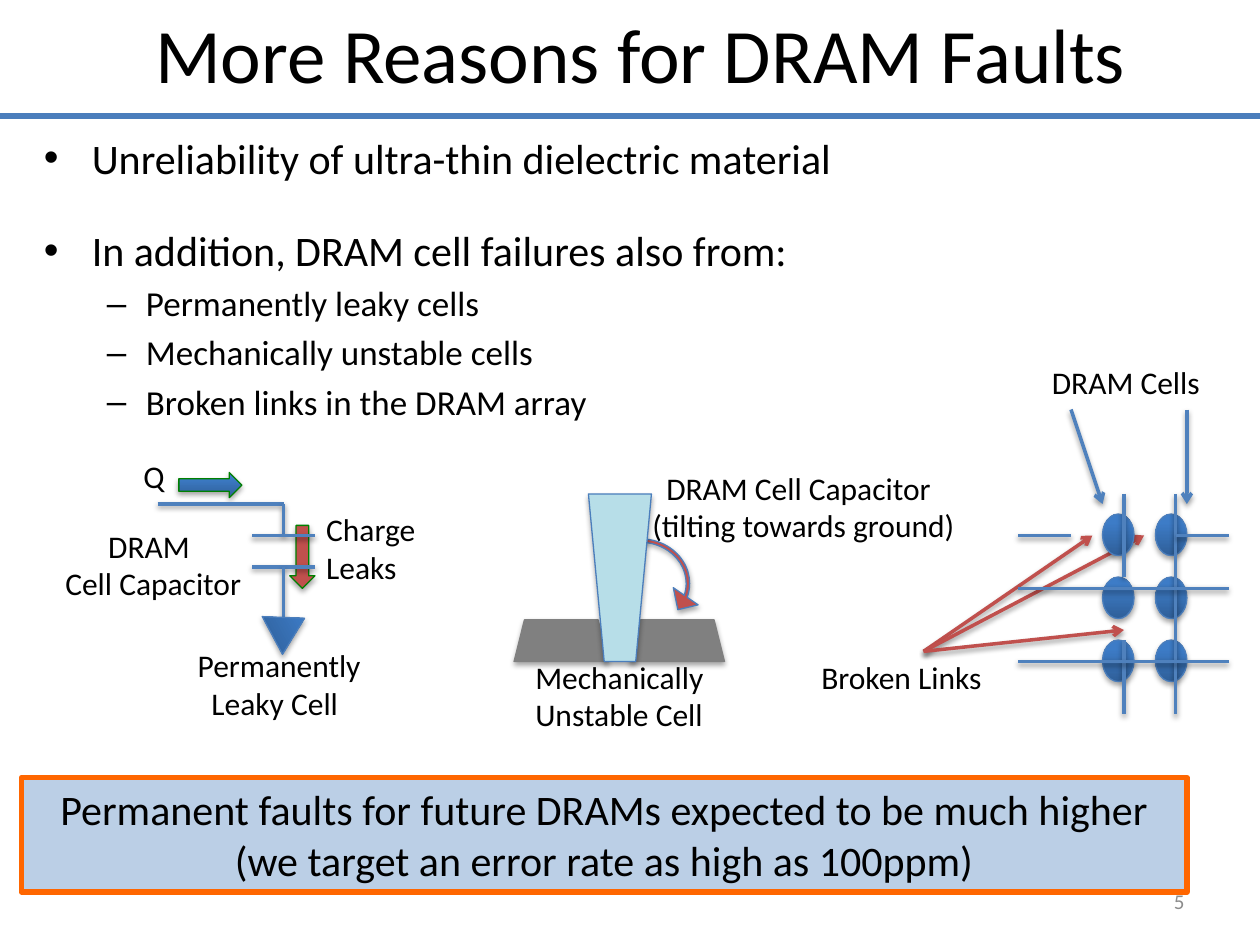
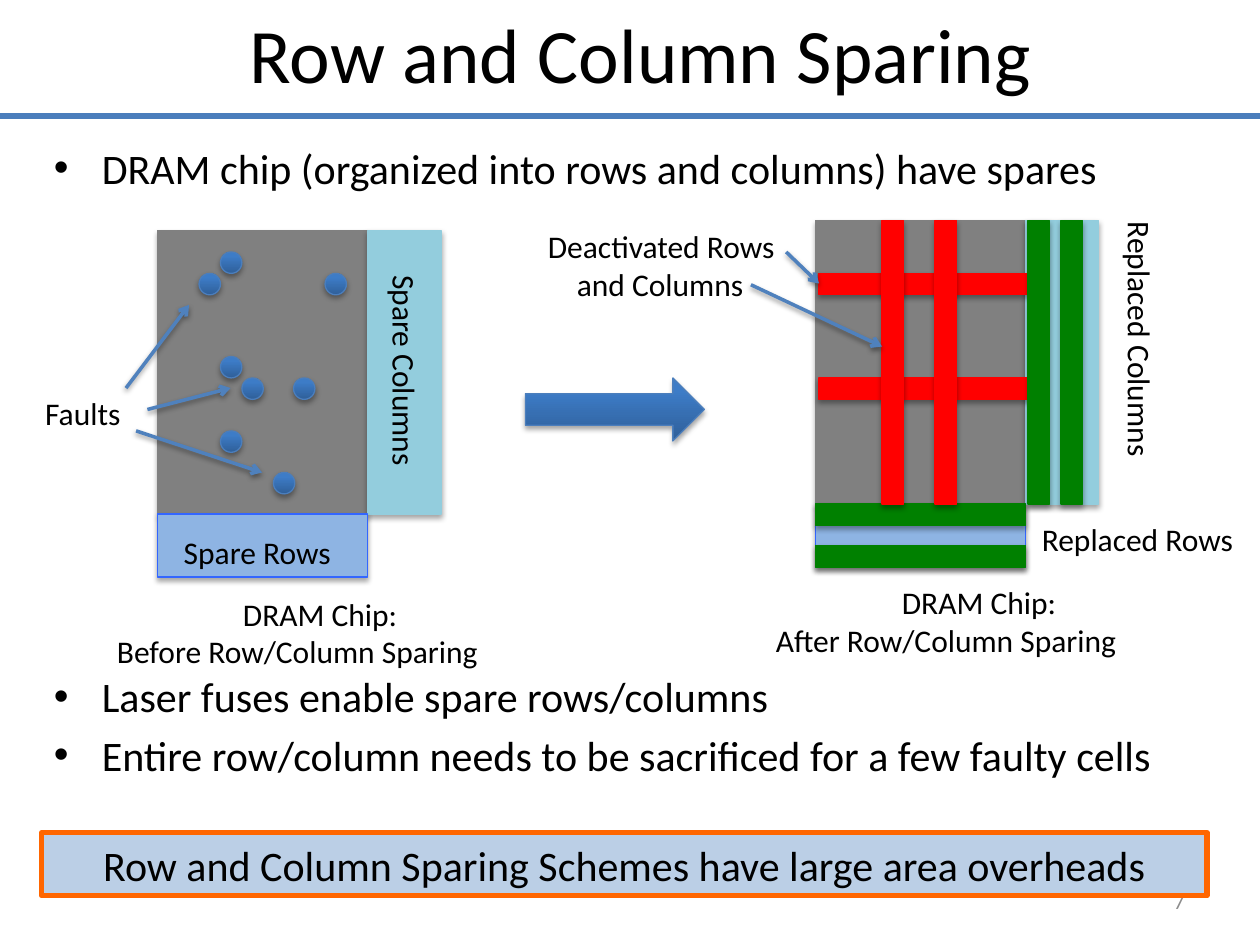
from dataclasses import dataclass

from lxml import etree
from pptx import Presentation
from pptx.dml.color import RGBColor
from pptx.enum import shapes, text
from pptx.oxml.ns import qn
from pptx.util import Cm, Pt

KIND = shapes.MSO_SHAPE
ALIGN = text.PP_ALIGN
ANCHOR = text.MSO_ANCHOR


@dataclass(frozen=True)
class Theme:
    font: str = "Calibri"
    ink: str = "000000"
    pale: str = "8C8C8C"
    edge: str = "4B7EBC"
    wire: str = "4F81BD"
    deep: str = "2F5F99"
    blue: str = "3D7CC7"
    brick: str = "C0504D"
    red: str = "FF0000"
    green: str = "008000"
    gray: str = "808080"
    ice: str = "B7DEE8"
    aqua: str = "93CDDD"
    sky: str = "8EB4E3"
    royal: str = "3366FF"
    band: str = "BBCFE6"
    orange: str = "FF6600"
    title: int = 44
    body: int = 24
    sub: int = 20
    label: int = 18
    page: int = 12


T = Theme()


# Basics: the layout grid is 10 x 7.5 units of 2.54 cm
def grid(*units):
    return [Cm(2.54 * n) for n in units]


def tint(code):
    return RGBColor.from_string(code)


def node(parent, tag, **attrs):
    return etree.SubElement(parent, qn(tag), {k: str(v) for k, v in attrs.items()})


def shade(item, alpha=0, drop=0):
    """Replace the themed shadow by a soft one below, or by none."""
    effects = node(item._element.spPr, "a:effectLst")
    if alpha:
        cast = node(effects, "a:outerShdw", blurRad=Pt(3.1), dist=Pt(drop),
                    dir=90 * 60000, rotWithShape=0)
        color = node(cast, "a:srgbClr", val="000000")
        node(color, "a:alpha", val=alpha * 1000)


# Text
def write(para, words, size, color=T.ink, align=ALIGN.LEFT):
    para.alignment = align
    run = para.add_run()
    run.text = words
    run.font.name = T.font
    run.font.size = Pt(size)
    run.font.color.rgb = tint(color)


def lines(frame):
    """Yield the first paragraph, then a new one each time."""
    yield frame.paragraphs[0]
    while True:
        yield frame.add_paragraph()


def frame(slide, box, wrap=True):
    area = slide.shapes.add_textbox(*grid(*box))
    area.text_frame.word_wrap = wrap
    return area


def label(slide, box, rows, indents=(), turn=0):
    area = frame(slide, box, wrap=False)
    area.rotation = turn
    paras = lines(area.text_frame)
    for i, row in enumerate(rows):
        para = next(paras)
        write(para, row, T.label)
        if i < len(indents) and indents[i]:
            para._p.get_or_add_pPr().set("marL", str(grid(indents[i])[0]))


def bullets(slide, box, items):
    """Each item is level, space before in points, words."""
    paras = lines(frame(slide, box).text_frame)
    for level, space, words in items:
        para = next(paras)
        para.level = level
        para.space_before = Pt(space)
        write(para, words, T.sub if level else T.body)
        left, hang = grid(0.81, 0.31) if level else grid(0.38, 0.38)
        props = para._p.get_or_add_pPr()
        props.set("marL", str(left))
        props.set("indent", str(-hang))
        node(props, "a:buFont", typeface="Arial")
        node(props, "a:buChar", char="–" if level else "•")


# Shapes and lines
def solid(slide, kind, box, fill=None, edge=T.edge, turn=0, width=0.75, flat=False):
    """Draw a shape; without a fill colour it gets the blue gradient."""
    item = slide.shapes.add_shape(kind, *grid(*box))
    item.rotation = turn
    if fill:
        item.fill.solid()
        item.fill.fore_color.rgb = tint(fill)
    else:
        item.fill.gradient()
        item.fill.gradient_angle = 90
        for stop, place, color in zip(item.fill.gradient_stops, (0, 0.8), (T.deep, T.blue)):
            stop.position = place
            stop.color.rgb = tint(color)
    item.line.color.rgb = tint(edge)
    item.line.width = Pt(width)
    if flat:
        shade(item)
    else:
        shade(item, 35, 1.8)
    return item


def block(slide, box, fill, edge=None):
    return solid(slide, KIND.RECTANGLE, box, fill, edge or fill)


def wire(slide, start, end, color=T.wire, width=2, arrow=False, flat=False):
    item = slide.shapes.add_connector(shapes.MSO_CONNECTOR.STRAIGHT, *grid(*start, *end))
    item.line.color.rgb = tint(color)
    item.line.width = Pt(width)
    if arrow:
        node(item.line._get_or_add_ln(), "a:tailEnd", type="arrow")
    if flat:
        shade(item)
    else:
        shade(item, 38, 1.6)


def arrows(slide, pairs, color=T.wire):
    for start, end in pairs:
        wire(slide, start, end, color, arrow=True)


# Parts that both slides share
def start(deck, title, number):
    slide = deck.slides.add_slide(deck.slide_layouts[6])
    page = frame(slide, (7.17, 6.95, 2.33, 0.4)).text_frame
    page.vertical_anchor = ANCHOR.MIDDLE
    write(page.paragraphs[0], str(number), T.page, T.pale, ALIGN.RIGHT)
    wire(slide, (0, 0.92), (10, 0.92), T.edge, 3, flat=True)
    head = frame(slide, (0.67, 0, 8.83, 0.96)).text_frame
    write(head.paragraphs[0], title, T.title, align=ALIGN.CENTER)
    return slide


def banner(slide, box, rows):
    item = solid(slide, KIND.RECTANGLE, box, T.band, T.orange, width=3, flat=True)
    item.text_frame.word_wrap = True
    item.text_frame.vertical_anchor = ANCHOR.TOP
    for para, row in zip(lines(item.text_frame), rows):
        write(para, row, T.body, align=ALIGN.CENTER)


# Slide with the causes of faults
def leaky(slide):
    solid(slide, KIND.RIGHT_ARROW, (1.42, 3.75, 0.5, 0.2), edge=T.green)
    solid(slide, KIND.DOWN_ARROW, (2.3, 4.17, 0.2, 0.5), T.brick, T.green)
    label(slide, (1.04, 3.58, 0.37, 0.4), ["Q"])
    label(slide, (2.49, 4, 0.92, 0.71), ["Charge", "Leaks"])
    for ends in [((1.25, 4), (2.25, 4)), ((2.25, 4), (2.25, 4.25)),
                 ((2, 4.25), (2.5, 4.25)), ((2, 4.5), (2.5, 4.5)),
                 ((2.25, 4.5), (2.25, 4.92))]:
        wire(slide, *ends)
    solid(slide, KIND.ISOSCELES_TRIANGLE, (2.12, 4.83, 0.34, 0.29), turn=61.8)
    label(slide, (0.42, 4.13, 1.61, 0.71), ["DRAM", "Cell Capacitor"], [0.34])
    label(slide, (1.47, 5.08, 1.52, 0.71), ["Permanently", "Leaky Cell"], [0, 0.11])


def tilted(slide):
    bend = solid(slide, KIND.CIRCULAR_ARROW, (4.58, 4.17, 1, 0.92), T.brick)
    for i, value in enumerate((0.03, 11.42, 9.45, 139.9, 0.13)):
        bend.adjustments[i] = value
    for x in (4.08, 5):
        solid(slide, KIND.TRAPEZOID, (x, 4.92, 0.75, 0.33), T.gray, T.gray)
    solid(slide, KIND.TRAPEZOID, (4.67, 3.92, 0.5, 1.33), T.ice, turn=180)
    label(slide, (4.15, 5.17, 1.55, 0.71), ["Mechanically", "Unstable Cell"])
    label(slide, (5.08, 3.67, 2.64, 0.71),
          ["DRAM Cell Capacitor", "(tilting towards ground)"], [0.11])


def broken(slide):
    label(slide, (6.42, 5.17, 1.51, 0.4), ["Broken Links"])
    hub = (7.33, 5.17)
    arrows(slide, [(hub, end) for end in ((8.67, 4.25), (9.08, 4.25), (8.92, 5))], T.brick)
    for x in (8.75, 9.17):
        for row in range(3):
            solid(slide, KIND.OVAL, (x, 4.08 + row / 2, 0.25, 0.33))
    for x, top, end in [(8.92, 3.92, 4.58), (8.92, 5.08, 5.67), (9.33, 3.92, 5.67)]:
        wire(slide, (x, top), (x, end))
    for y, left, end in [(4.25, 8.08, 8.5), (4.25, 9.33, 9.75),
                         (4.67, 8.08, 9.75), (5.25, 8.08, 9.75)]:
        wire(slide, (left, y), (end, y))
    label(slide, (8.25, 2.83, 1.39, 0.4), ["DRAM Cells"])
    arrows(slide, [((9.42, 3.25), (9.42, 4)), ((8.5, 3.25), (8.75, 4))])


def causes(deck):
    slide = start(deck, "More Reasons for DRAM Faults", 5)
    bullets(slide, (0.25, 1, 9.42, 5.33), [
        (0, 0, "Unreliability of ultra-thin dielectric material"),
        (0, 24, "In addition, DRAM cell failures also from:"),
        (1, 4, "Permanently leaky cells"),
        (1, 4, "Mechanically unstable cells"),
        (1, 4, "Broken links in the DRAM array")])
    banner(slide, (0.17, 6.17, 9.25, 0.91), [
        "Permanent faults for future DRAMs expected to be much higher",
        "(we target an error rate as high as 100ppm)"])
    leaky(slide)
    tilted(slide)
    broken(slide)


# Slide with the sparing scheme
def chip(slide, x, y):
    block(slide, (x, y, 1.67, 2.25), T.gray)
    block(slide, (x + 1.67, y, 0.58, 2.25), T.aqua)
    block(slide, (x, y + 2.25, 1.67, 0.5), T.sky, T.royal)


def before(slide):
    chip(slide, 1.25, 1.83)
    label(slide, (0.83, 4.67, 3.11, 0.71),
          ["DRAM Chip:", "Before Row/Column Sparing"], [1])
    label(slide, (1.36, 4.18, 1.39, 0.4), ["Spare Rows"])
    label(slide, (2.35, 2.75, 1.73, 0.4), ["Spare Columns"], turn=90)
    for x, y in [(1.58, 2.17), (1.75, 2.83), (1.92, 3), (1.75, 3.42),
                 (1.75, 2), (2.33, 3), (2.58, 2.17), (2.17, 3.75)]:
        solid(slide, KIND.OVAL, (x, y, 0.17, 0.17))
    label(slide, (0.26, 3.08, 0.82, 0.4), ["Faults"])
    arrows(slide, [((1, 3.08), (1.5, 2.42)), ((1.17, 3.25), (1.83, 3.08)),
                   ((1.08, 3.42), (2.08, 3.75))])


def after(slide):
    x, y = 6.47, 1.75
    label(slide, (8.17, 4.08, 1.75, 0.4), ["Replaced Rows"])
    chip(slide, x, y)
    label(slide, (6.06, 4.58, 2.94, 0.71),
          ["DRAM Chip:", "After Row/Column Sparing"], [1])
    label(slide, (8, 2.51, 2.1, 0.4), ["Replaced Columns"], turn=90)
    for left, top, color in [(6.5, 2.17, T.red), (6.5, 3, T.red),
                             (x, 4, T.green), (x, 4.33, T.green)]:
        block(slide, (left, top, 1.67, 0.17), color)
    for left, color in [(7, T.red), (7.42, T.red), (8.16, T.green), (8.42, T.green)]:
        block(slide, (left, y, 0.17, 2.25), color)
    label(slide, (4.25, 1.75, 2.04, 0.71), ["Deactivated Rows", "and Columns"], [0, 0.23])
    arrows(slide, [((6.24, 2), (6.5, 2.25)), ((5.96, 2.26), (7, 2.75))])


def sparing(deck):
    slide = start(deck, "Row and Column Sparing", 7)
    bullets(slide, (0.33, 1.08, 9.33, 5.53), [
        (0, 0, "DRAM chip (organized into rows and columns) have spares"),
        (0, 273, "Laser fuses enable spare rows/columns"),
        (0, 4.8, "Entire row/column needs to be sacrificed for a few faulty cells")])
    banner(slide, (0.33, 6.61, 9.25, 0.5),
           ["Row and Column Sparing Schemes have large area overheads"])
    before(slide)
    solid(slide, KIND.RIGHT_ARROW, (4.17, 3, 1.42, 0.5))
    after(slide)


def main():
    deck = Presentation()
    deck.slide_width, deck.slide_height = grid(10, 7.5)
    causes(deck)
    sparing(deck)
    deck.save("out.pptx")


if __name__ == "__main__":
    main()
